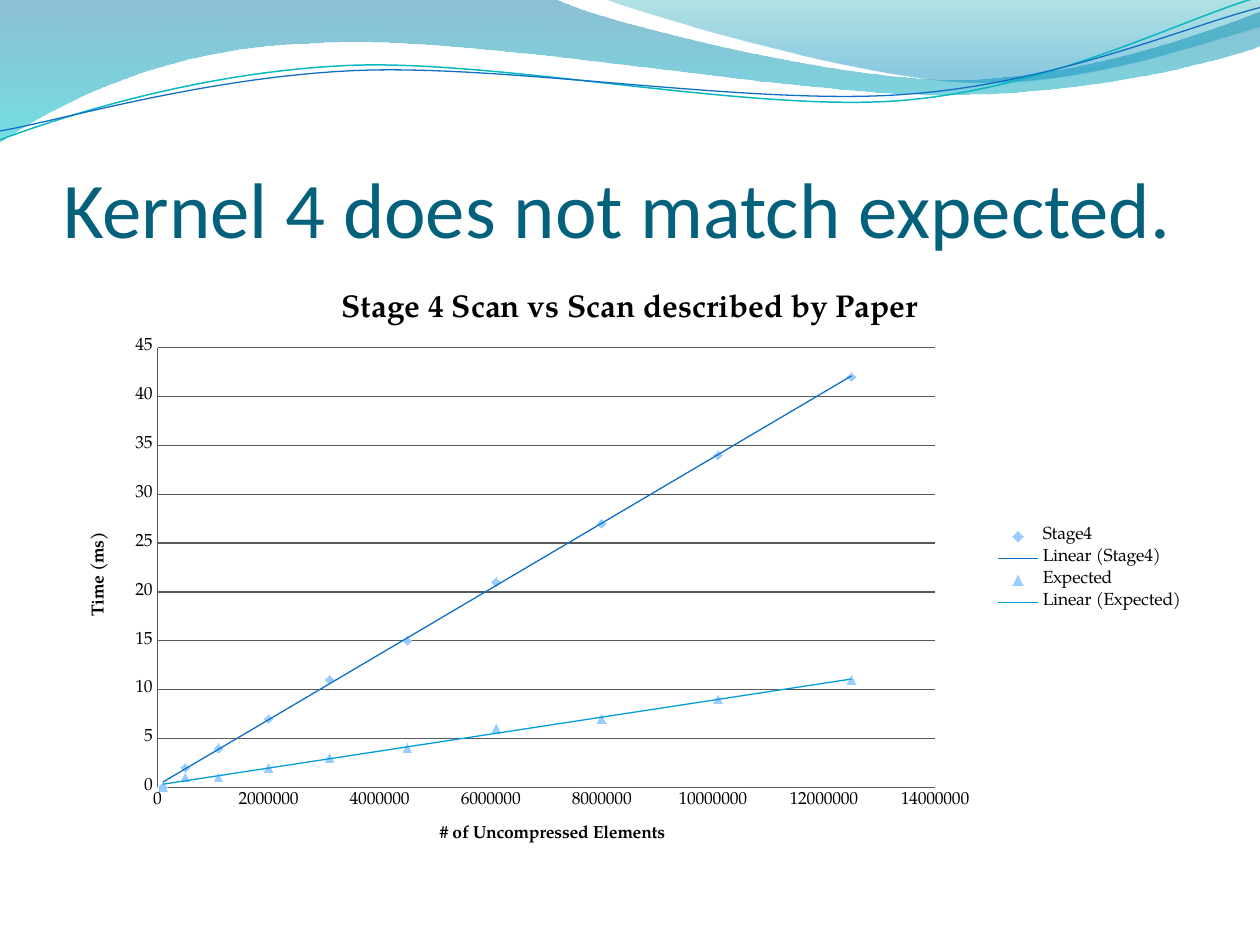
from dataclasses import dataclass

from lxml.etree import SubElement
from pptx import Presentation
from pptx.chart.data import XyChartData
from pptx.dml.color import RGBColor
from pptx.enum.chart import XL_CHART_TYPE as ChartType
from pptx.enum.chart import XL_LEGEND_POSITION as LegendPosition
from pptx.enum.chart import XL_MARKER_STYLE as Marker
from pptx.enum.chart import XL_TICK_MARK as TickMark
from pptx.enum.text import MSO_ANCHOR, PP_ALIGN
from pptx.oxml import parse_xml
from pptx.oxml.ns import nsdecls, qn
from pptx.util import Inches, Pt

WIDTH, HEIGHT = Inches(10), Inches(7.5)
CHART_FONT = "TeX Gyre Pagella"
CHART_WIDTH, CHART_HEIGHT = 9, 4.8
COLORS = {
    "title": "04617B", "text": "000000", "grid": "595959", "marker": "99CCFF",
    "blue": "0F6FC6", "sky": "009DD9", "teal": "0AB8BF",
    "deep": "0074A1", "aqua": "00C6CF", "sea": "00A1A9", "azure": "008BBF",
}
ELEMENTS = [100000, 500000, 1100000, 2000000, 3100000,
            4500000, 6100000, 8000000, 10100000, 12500000]


@dataclass
class Stop:
    position: float
    color: str
    opacity: int


@dataclass
class Wave:
    start: tuple
    segments: list
    stops: tuple = ()
    line: str = ""
    weight: float = 0


@dataclass
class Timing:
    name: str
    values: list
    color: str
    marker: Marker


WAVES = [
    Wave((0, 0), [
        (4.4, -0.01),
        (4.76, 0.17, 6.64, 0.63, 7.58, 0.63),
        (8.53, 0.63, 9.58, 0.26, 10, 0.09),
        (10.01, 0.36),
        (9.83, 0.44, 8.7, 0.76, 7.46, 0.75),
        (6.22, 0.75, 3.82, 0.28, 2.57, 0.34),
        (1.29, 0.36, 0.46, 0.83, -0.01, 1.13),
    ], stops=(Stop(0, "deep", 45), Stop(1, "aqua", 55))),
    Wave((4.79, -0.01), [
        (5.09, 0.11, 6.82, 0.62, 7.69, 0.65),
        (8.56, 0.69, 9.61, 0.32, 10, 0.21),
        (10, 0),
    ], stops=(Stop(0, "sea", 30), Stop(0.8, "azure", 45))),
    Wave((0, 1.11), [
        (0.48, 0.93, 1.58, 0.57, 2.77, 0.52),
        (3.95, 0.47, 5.93, 0.89, 7.13, 0.8),
        (8.33, 0.71, 9.38, 0.15, 9.98, -0.02),
    ], line="teal", weight=0.85),
    Wave((0, 1.04), [
        (0.47, 0.96, 1.64, 0.61, 2.83, 0.56),
        (4.03, 0.51, 5.97, 0.84, 7.17, 0.75),
        (8.36, 0.67, 9.41, 0.21, 10, 0.06),
    ], line="blue", weight=0.75),
]
TIMINGS = [
    Timing("Stage4", [0, 2, 4, 7, 11, 15, 21, 27, 34, 42], "blue", Marker.DIAMOND),
    Timing("Expected", [0, 1, 1, 2, 3, 4, 6, 7, 9, 11], "sky", Marker.TRIANGLE),
]


def rgb(name: str) -> RGBColor:
    return RGBColor.from_string(COLORS[name])


def bend_segments(shape, wave: Wave) -> None:
    lines = iter(list(shape._element.iter(qn("a:lnTo"))))
    for segment in wave.segments:
        first = next(lines)
        if len(segment) == 6:
            first.tag = qn("a:cubicBezTo")
            for control in (next(lines), next(lines)):
                first.append(control[0])
                control.getparent().remove(control)


def draw_wave(page, wave: Wave) -> None:
    points = [(Inches(x), Inches(y)) for segment in wave.segments
              for x, y in zip(segment[::2], segment[1::2])]
    builder = page.shapes.build_freeform(*map(Inches, wave.start))
    builder.add_line_segments(points, close=bool(wave.stops))
    shape = builder.convert_to_shape()
    bend_segments(shape, wave)
    shape.shadow.inherit = False
    if not wave.stops:
        shape.fill.background()
        shape.line.color.rgb = rgb(wave.line)
        shape.line.width = Pt(wave.weight)
        return
    shape.line.fill.background()
    shape.fill.gradient()
    shape.fill.gradient_angle = 270
    for target, stop in zip(shape.fill.gradient_stops, wave.stops):
        target.position = stop.position
        target.color.rgb = rgb(stop.color)
    for color, stop in zip(shape._element.iter(qn("a:srgbClr")), wave.stops):
        SubElement(color, qn("a:alpha")).set("val", str(stop.opacity * 1000))


def set_title(page, text: str) -> None:
    title = page.shapes.title
    title.left, title.top = int(WIDTH * 0.05), Inches(0.77)
    title.width, title.height = int(WIDTH * 0.9), Inches(1.25)
    frame = title.text_frame
    frame.text = text
    frame.word_wrap = True
    frame.vertical_anchor = MSO_ANCHOR.BOTTOM
    frame.margin_left = frame.margin_right = frame.margin_bottom = 0
    frame.margin_top = Inches(0.05)
    para = frame.paragraphs[0]
    para.alignment = PP_ALIGN.LEFT
    para.font.size = Pt(45)
    para.font.name = "Calibri"
    para.font.color.rgb = rgb("title")
    page.shapes._spTree.append(title._element)


def set_heading(heading, text: str, size: int) -> None:
    heading.text_frame.text = text
    font = heading.text_frame.paragraphs[0].font
    font.size, font.bold, font.name = Pt(size), True, CHART_FONT
    font.color.rgb = rgb("text")


def format_axis(axis, text: str, maximum: int, unit: int) -> None:
    set_heading(axis.axis_title, text, 10)
    axis.minimum_scale, axis.maximum_scale, axis.major_unit = 0, maximum, unit
    axis.major_tick_mark = axis.minor_tick_mark = TickMark.NONE
    axis.tick_labels.number_format = "0"
    axis.tick_labels.number_format_is_linked = False
    axis.format.line.color.rgb = rgb("grid")
    axis.format.line.width = Pt(0.75)


def format_series(series, timing: Timing) -> None:
    series.format.line.fill.background()
    series.marker.style = timing.marker
    series.marker.size = 5
    series.marker.format.fill.solid()
    series.marker.format.fill.fore_color.rgb = rgb("marker")
    series.marker.format.line.fill.background()
    trend = parse_xml(
        f'<c:trendline {nsdecls("c", "a")}>'
        f'<c:spPr><a:ln w="{Pt(0.75)}"><a:solidFill><a:srgbClr val="{COLORS[timing.color]}"/>'
        '</a:solidFill></a:ln></c:spPr><c:trendlineType val="linear"/>'
        '<c:dispRSqr val="0"/><c:dispEq val="0"/></c:trendline>')
    series._element.find(qn("c:xVal")).addprevious(trend)


def hide_trend_entries(legend) -> None:
    position = legend._element.find(qn("c:legendPos"))
    for index in (3, 2):
        position.addnext(parse_xml(
            f'<c:legendEntry {nsdecls("c")}><c:idx val="{index}"/>'
            '<c:delete val="1"/></c:legendEntry>'))


def place_plot(chart, x: float, y: float, w: float, h: float) -> None:
    area = chart._chartSpace.find(".//" + qn("c:plotArea"))
    for old in area.findall(qn("c:layout")):
        area.remove(old)
    layout = SubElement(area, qn("c:layout"))
    area.insert(0, layout)
    manual = SubElement(layout, qn("c:manualLayout"))
    settings = {"layoutTarget": "inner", "xMode": "edge", "yMode": "edge",
                "x": x / CHART_WIDTH, "y": y / CHART_HEIGHT,
                "w": w / CHART_WIDTH, "h": h / CHART_HEIGHT}
    for name, value in settings.items():
        SubElement(manual, qn(f"c:{name}")).set("val", str(value))


def add_timing_chart(page) -> None:
    data = XyChartData()
    for timing in TIMINGS:
        series = data.add_series(timing.name)
        for count, value in zip(ELEMENTS, timing.values):
            series.add_data_point(count, value)
    chart = page.shapes.add_chart(ChartType.XY_SCATTER, int(WIDTH * 0.05), Inches(2.12),
                                  Inches(CHART_WIDTH), Inches(CHART_HEIGHT), data).chart
    chart.font.size, chart.font.name = Pt(10), CHART_FONT
    chart.font.color.rgb = rgb("text")
    set_heading(chart.chart_title, "Stage 4 Scan vs Scan described by Paper", 18)
    chart.has_legend = True
    chart.legend.position = LegendPosition.RIGHT
    chart.legend.include_in_layout = False
    hide_trend_entries(chart.legend)
    format_axis(chart.category_axis, "# of Uncompressed Elements", 14000000, 2000000)
    format_axis(chart.value_axis, "Time (ms)", 45, 5)
    chart.category_axis.has_major_gridlines = False
    chart.value_axis.has_major_gridlines = True
    grid = chart.value_axis.major_gridlines.format.line
    grid.color.rgb, grid.width = rgb("grid"), Pt(0.75)
    chart.plots[0].vary_by_categories = False
    for series, timing in zip(chart.plots[0].series, TIMINGS):
        format_series(series, timing)
    place_plot(chart, 0.75, 0.64, 6.17, 3.49)


def main() -> None:
    deck = Presentation()
    deck.slide_width, deck.slide_height = WIDTH, HEIGHT
    page = deck.slides.add_slide(deck.slide_layouts[5])
    for wave in WAVES:
        draw_wave(page, wave)
    set_title(page, "Kernel 4 does not match expected.")
    add_timing_chart(page)
    deck.save("out.pptx")


if __name__ == "__main__":
    main()
